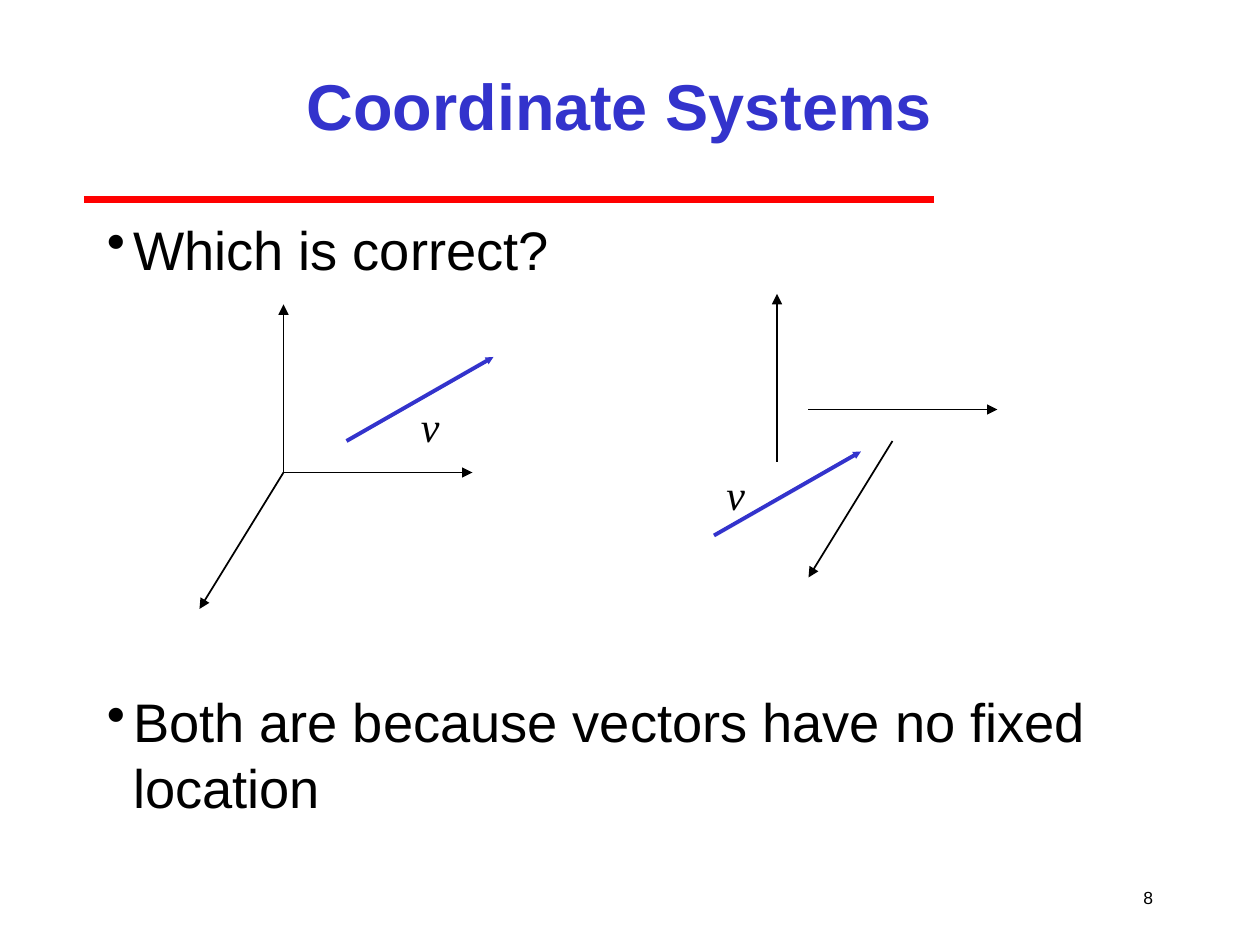
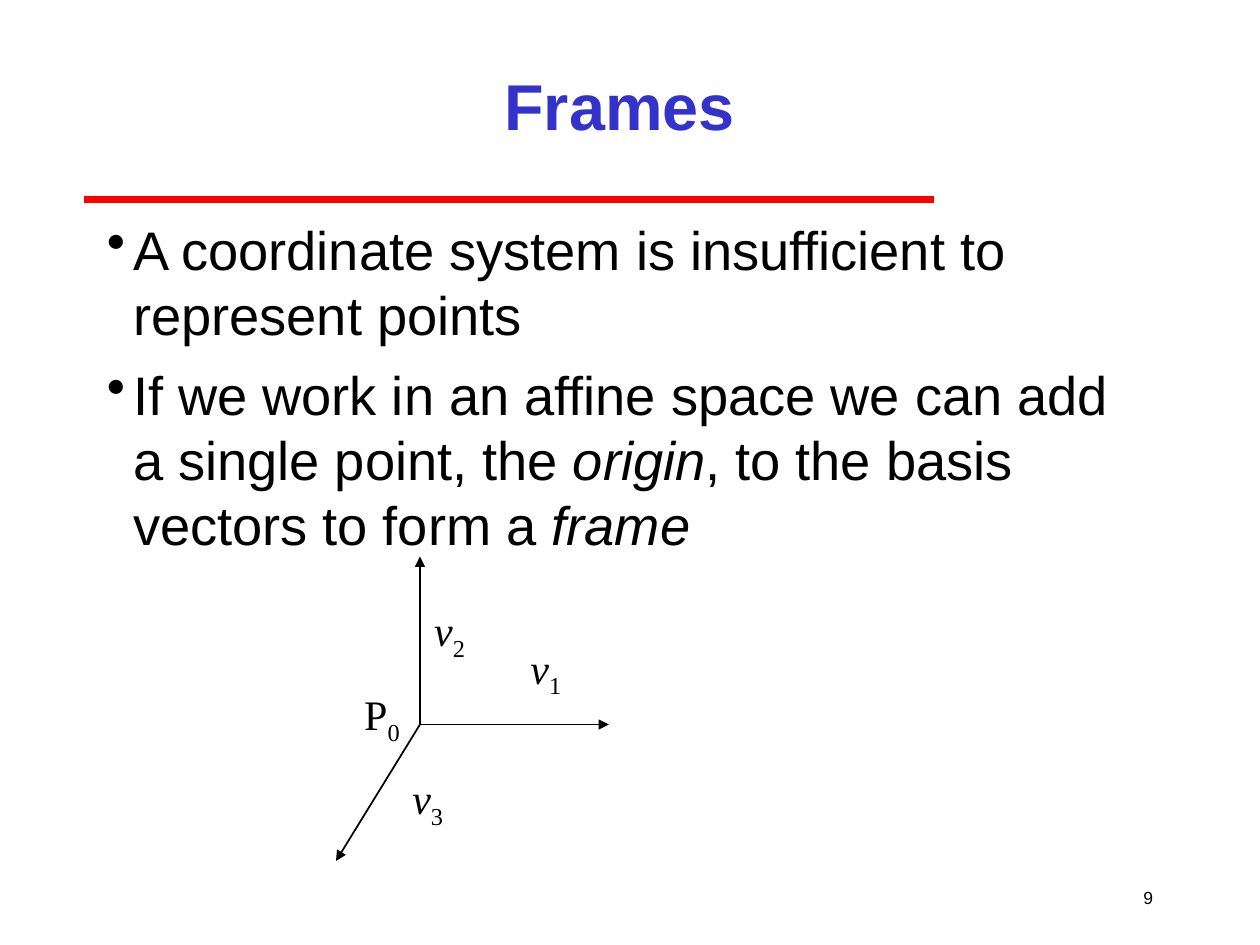
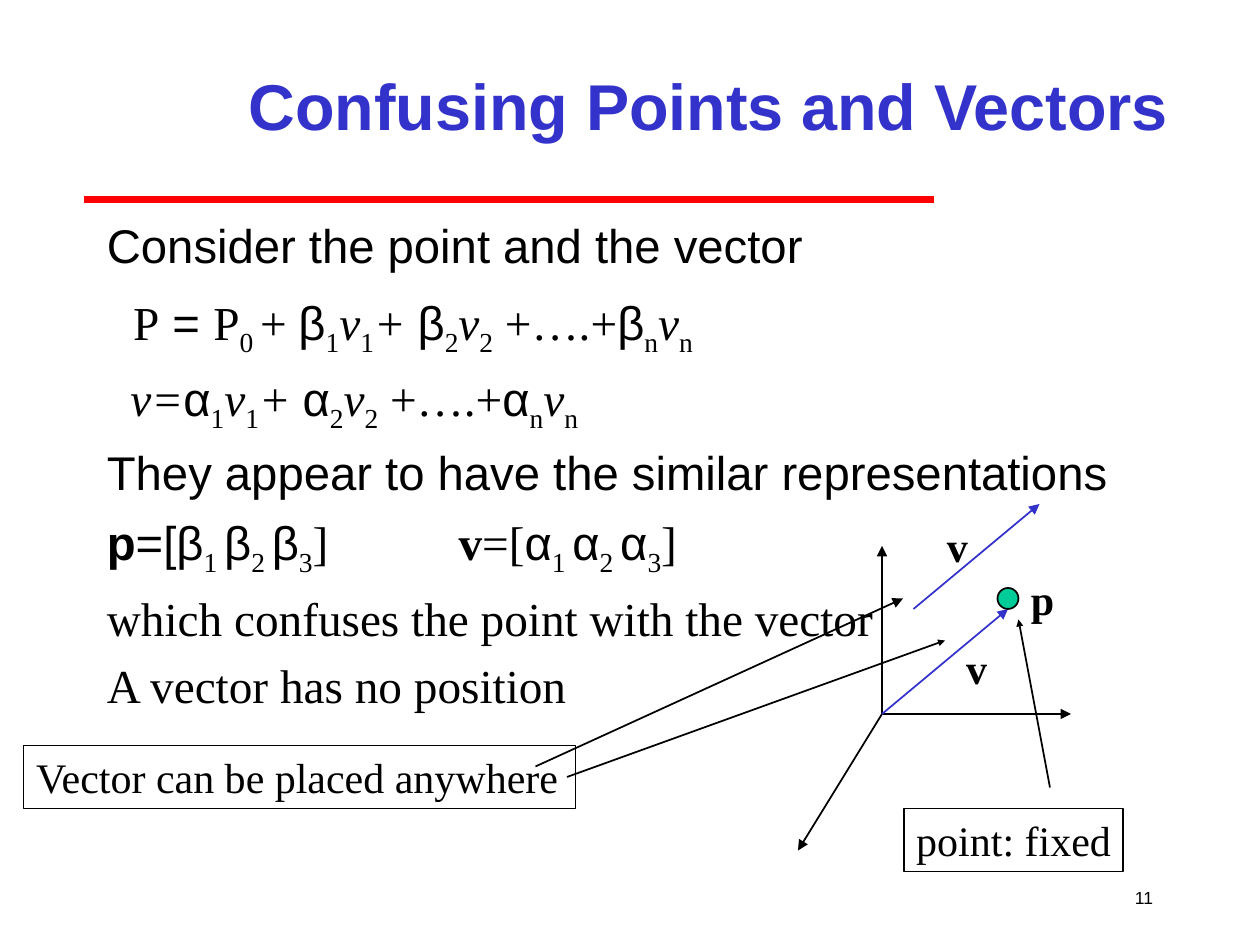
import pptx
import pptx.dml.color
import pptx.enum.shapes
import pptx.enum.text
import pptx.oxml
import pptx.oxml.ns
import pptx.util
import lxml.etree

Pt = pptx.util.Pt
Align = pptx.enum.text.PP_ALIGN
Anchor = pptx.enum.text.MSO_ANCHOR
Shape = pptx.enum.shapes.MSO_SHAPE
Link = pptx.enum.shapes.MSO_CONNECTOR

BLACK, BLUE, RED, GREEN = "000000", "3333CC", "FF0000", "00CC99"
SANS, SERIF = {"name": "Arial"}, {"name": "Times New Roman"}
TITLE = {**SANS, "size": Pt(37), "bold": True}
BODY = {**SANS, "size": Pt(31)}
NOTE = {**SERIF, "size": Pt(24)}
MATH = {**SERIF, "size": Pt(27)}
GREEK = {**SANS, "size": Pt(27)}
SLANT, BOLD = {"italic": True}, {"bold": True}
SUB = {**SERIF, "base": -25}
TURN = (84, -48)
RISE = (72, -60)
ARMS = ((108, 0), (0, -96), (-48, 78))


def color(value):
    """Turn a hex string into a colour."""
    return pptx.dml.color.RGBColor.from_string(value)


def apply(item, values):
    """Set each named attribute on an item."""
    for key, value in values.items():
        setattr(item, key, value)


def node(parent, tag, **attrs):
    """Append a drawing element to a parent."""
    return lxml.etree.SubElement(parent, pptx.oxml.ns.qn(tag), attrs)


def style(run, look, tint):
    """Format one run of text."""
    look = dict(look)
    base = look.pop("base", 0)
    apply(run.font, look)
    run.font.color.rgb = color(tint)
    if base:
        run._r.get_or_add_rPr().set("baseline", str(base * 1000))


def write(frame, paras, look, tint=BLACK, wrap=True, anchor=Anchor.TOP, **form):
    """Fill a text frame with paragraphs of (text, style) runs."""
    apply(frame, {"word_wrap": wrap, "vertical_anchor": anchor})
    for i, runs in enumerate(paras):
        para = frame.paragraphs[0] if i == 0 else frame.add_paragraph()
        apply(para, {"alignment": Align.LEFT, **form})
        for text, extra in runs:
            run = para.add_run()
            run.text = text
            style(run, {**look, **extra}, tint)


def place(slide, box, paras, look, **form):
    """Add a text box and return its frame."""
    frame = slide.shapes.add_textbox(*map(Pt, box)).text_frame
    write(frame, paras, look, **form)
    return frame


def line(slide, start, end, tint=BLACK, width=1, head="med"):
    """Draw a line from start to end, with an arrowhead if wanted."""
    link = slide.shapes.add_connector(Link.STRAIGHT, *map(Pt, (*start, *end)))
    link.line.color.rgb = color(tint)
    link.line.width = Pt(width)
    if head:
        tip = {"type": "triangle", "w": head, "len": head}
        node(link.line._get_or_add_ln(), "a:tailEnd", **tip)
    node(link._element.spPr, "a:effectLst")


def shift(spot, step):
    """Move a spot by a step."""
    return spot[0] + step[0], spot[1] + step[1]


def base(deck, title, number, box=(108, 18, 492, 84)):
    """Add a slide with its title, rule and number."""
    slide = deck.slides.add_slide(deck.slide_layouts[6])
    line(slide, (48, 114), (534, 114), RED, 4, None)
    place(slide, (636, 498, 30, 30), [[(number, {})]], {**SANS, "size": Pt(10)},
          anchor=Anchor.MIDDLE, alignment=Align.RIGHT)
    place(slide, box, [[(title, {})]], TITLE, tint=BLUE,
          anchor=Anchor.MIDDLE, alignment=Align.CENTER)
    return slide


def points(slide, top, paras):
    """Place a bulleted list at the given top."""
    frame = place(slide, (54, top, 610, 120), paras, BODY)
    for i, para in enumerate(frame.paragraphs):
        props = para._p.get_or_add_pPr()
        para.space_before = Pt(8.5 if i else 0)
        props.set("marL", str(Pt(15)))
        props.set("indent", str(Pt(-15)))
        node(node(props, "a:buClr"), "a:srgbClr", val=BLACK)
        node(props, "a:buChar", char="•")


def axes(slide, *spots):
    """Draw the three axes, each from its own starting spot."""
    for spot, arm in zip(spots, ARMS):
        line(slide, spot, shift(spot, arm))


def label(slide, spot, runs, width=25):
    """Place a short label at a spot."""
    place(slide, (*spot, width, 36), [runs], NOTE, wrap=False)


def outline(shape):
    """Give a shape a thin black line and no shadow."""
    shape.shadow.inherit = False
    shape.line.color.rgb = color(BLACK)
    shape.line.width = Pt(1)


def note(slide, box, text):
    """Draw an outlined box with a line of text."""
    shape = slide.shapes.add_shape(Shape.RECTANGLE, *map(Pt, box))
    outline(shape)
    shape.fill.background()
    write(shape.text_frame, [[(text, {})]], NOTE, wrap=False)


def dot(slide, box):
    """Draw the marked point."""
    shape = slide.shapes.add_shape(Shape.OVAL, *map(Pt, box))
    outline(shape)
    shape.fill.solid()
    shape.fill.fore_color.rgb = color(GREEN)


def term(sign, mark):
    """Give the runs of one weighted basis vector."""
    return [(sign, SANS), (mark, SUB), ("v", SLANT), (mark, SUB)]


def total(sign):
    """Give the runs of a weighted sum of basis vectors."""
    return [*term(sign, "1"), ("+ ", SLANT), *term(sign, "2"),
            (" +….+", {}), *term(sign, "n")]


def triple(sign):
    """Give the runs of three numbered weights."""
    marks = ("1 ", "2 ", "3")
    return [run for mark in marks for run in ((sign, SANS), (mark, SUB))]


def algebra(slide, box):
    """Write the comparison of point and vector."""
    paras = [
        [("Consider the point and the vector", GREEK)],
        [("P", {}), (" = ", GREEK), ("P", {}), ("0 ", SUB), ("+ ", {}), *total("β")],
        [("v=", SLANT), *total("α")],
        [("They appear to have the similar representations", GREEK)],
        [("p", {**GREEK, **BOLD}), ("=[", GREEK), *triple("β"), ("]\t", {}),
         ("v", BOLD), ("=[", {}), *triple("α"), ("]", {})],
        [("which confuses the point with the vector", {})],
        [("A vector has no position", {})],
    ]
    lines = place(slide, box, paras, MATH).paragraphs
    for para, gap in zip(lines, (0, 11.5, 6.5, 5.5, 7.5, 6.5, 6)):
        para.space_before = Pt(gap)
    for para, left in zip(lines[1:3], (15, 13.5)):
        para._p.get_or_add_pPr().set("marL", str(Pt(left)))
    tabs = node(lines[4]._p.get_or_add_pPr(), "a:tabLst")
    node(tabs, "a:tab", pos=str(Pt(201)), algn="l")


def systems(deck):
    """Build the slide on coordinate systems."""
    slide = base(deck, "Coordinate Systems", "8")
    points(slide, 120, [[("Which is correct?", {})]])
    points(slide, 390, [[("Both are because vectors have no fixed location", {})]])
    joint = (162, 270)
    axes(slide, joint, joint, joint)
    axes(slide, (462, 234), (444, 264), (510, 252))
    for start, step in (((198, 252), (35.5, -26.5)), ((408, 306), (0, -42))):
        line(slide, start, shift(start, TURN), BLUE, 2.25, "sm")
        label(slide, shift(start, step), [("v", SLANT)])


def frames(deck):
    """Build the slide on frames."""
    slide = base(deck, "Frames", "9")
    points(slide, 120, [
        [("A coordinate system is insufficient to represent points", {})],
        [("If we work in an affine space we can add a single point, the ", {}),
         ("origin", SLANT), (", to the basis vectors to form a ", {}),
         ("frame", SLANT)],
    ])
    joint = (240, 414)
    axes(slide, joint, joint, joint)
    names = (("P", "0", {}, (-39, -24), 35), ("v", "1", SLANT, (56, -50.5), 32),
             ("v", "2", SLANT, (1, -72), 32), ("v", "3", SLANT, (-11.5, 24), 32))
    for name, mark, look, step, width in names:
        label(slide, shift(joint, step), [(name, look), (mark, SUB)], width)


def mixup(deck):
    """Build the slide on points and vectors."""
    slide = base(deck, "Confusing Points and Vectors", "11", (132, 18, 546, 84))
    algebra(slide, (54, 120, 612, 372))
    joint = (504, 408)
    axes(slide, joint, joint, joint)
    for start in (joint, shift(joint, (18, -60))):
        line(slide, start, shift(start, RISE), BLUE)
    for name, step in (("v", (41, -44.5)), ("p", (78, -84)), ("v", (30, -114))):
        label(slide, shift(joint, step), [(name, BOLD)], 26)
    for start, end, head in (((306, 438), (516, 342), "med"),
                             ((324, 444), (540, 366), "sm"),
                             ((600, 450), (582, 354), "sm")):
        line(slide, start, end, head=head)
    dot(slide, (*shift(joint, (66, -72)), 12, 12))
    note(slide, (13.5, 426, 315.4, 36), "Vector can be placed anywhere")
    note(slide, (516.5, 462, 125.3, 36), "point: fixed")


def main():
    """Build and save the deck."""
    deck = pptx.Presentation()
    apply(deck, {"slide_width": Pt(720), "slide_height": Pt(540)})
    for build in (systems, frames, mixup):
        build(deck)
    deck.save("out.pptx")


if __name__ == "__main__":
    main()
